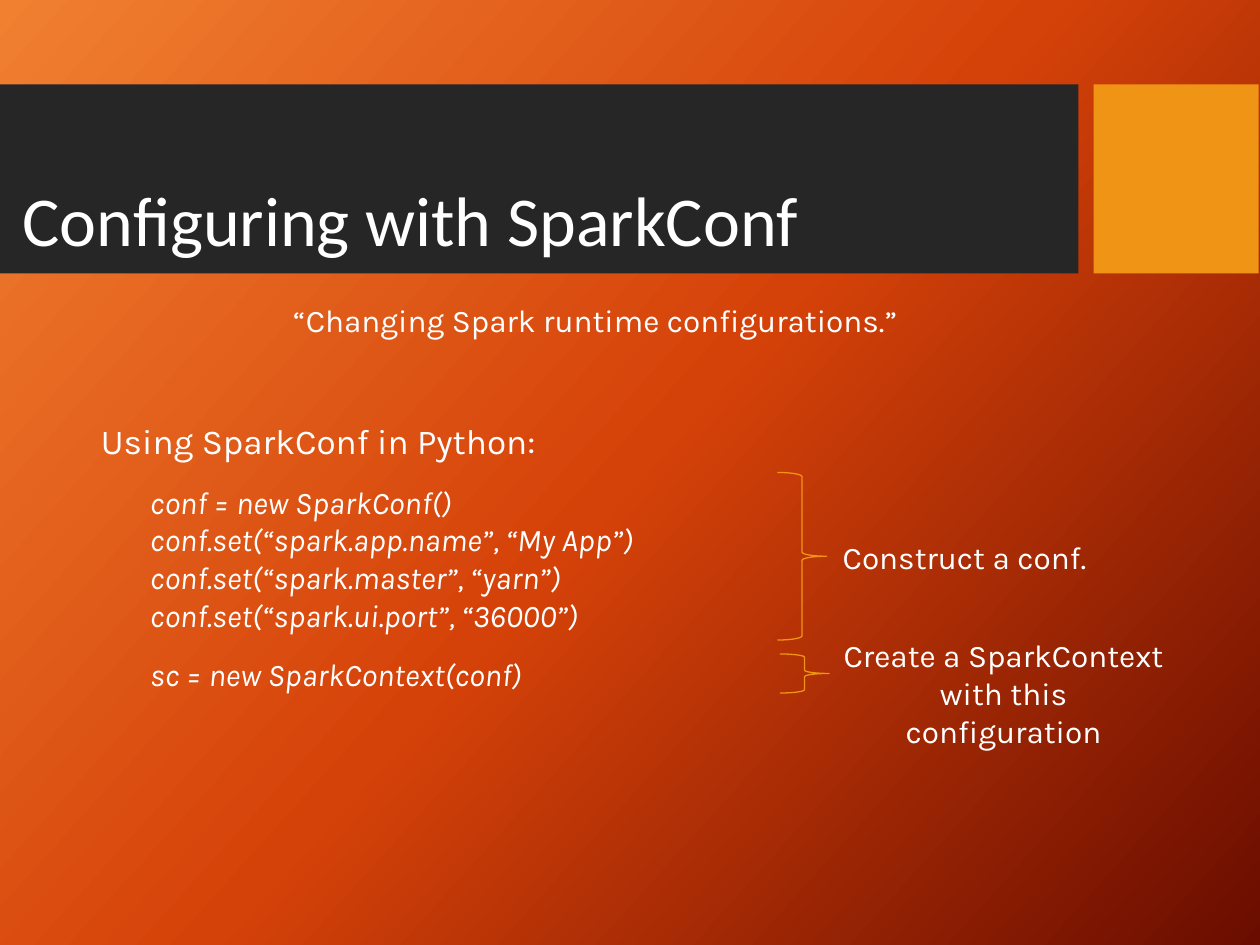
"""Build a slide on setting Spark options with SparkConf."""
import copy
import pptx
import pptx.util
import pptx.dml.color
import pptx.enum.shapes
import pptx.enum.text

Inches, Pt = pptx.util.Inches, pptx.util.Pt
RGB = pptx.dml.color.RGBColor.from_string
SHAPE = pptx.enum.shapes.MSO_SHAPE
ALIGN = pptx.enum.text.PP_ALIGN
ANCHOR = pptx.enum.text.MSO_ANCHOR
FIT = pptx.enum.text.MSO_AUTO_SIZE

THEME = {
    "head": "Calibri", "body": "Karla",
    "title": 40, "lead": 20, "text": 18,
    "white": "FFFFFF", "dark": "262626", "gold": "F09415",
    "back": [(0, "F18031"), (0.5, "D54209"), (1, "6A0D00")], "angle": 42,
}

TITLE = ("Configuring with SparkConf", (0.08, 1.45, 6.56, 0.66))
LEAD = "Using SparkConf in Python:"
CODE = [
    ("conf = new SparkConf()", 0),
    ("conf.set(“spark.app.name”, “My App”)", 0),
    ("conf.set(“spark.master”, “yarn”)", 0),
    ("conf.set(“spark.ui.port”, “36000”)", 12),
    ("sc = new SparkContext(conf)", 12),
]
BODY = (0.7, 3.28, 5.08, 2.29)
NOTES = [
    ("“Changing Spark runtime configurations.”", (2.03, 2.34, 5.39, 0.4)),
    ("Construct a conf.", (6.56, 4.22, 2.19, 0.4)),
    ("Create a SparkContext with this configuration", (6.56, 5, 2.81, 0.71)),
]
BANDS = [("dark", (0, 0.67, 8.56, 1.5)), ("gold", (8.68, 0.67, 1.31, 1.5))]
BRACES = [(6.17, 3.75, 0.39, 1.33), (6.19, 5.19, 0.39, 0.31)]


def place(shape, box):
    shape.left, shape.top, shape.width, shape.height = map(Inches, box)


def style(para, size, face="body", align=ALIGN.LEFT, after=0):
    para.font.name, para.font.size = THEME[face], Pt(THEME[size])
    para.font.color.rgb = RGB(THEME["white"])
    para.alignment = align
    para.space_before, para.space_after = Pt(0), Pt(after)


def paint(slide):
    fill = slide.background.fill
    fill.gradient()
    stops = slide.element.xpath(".//p:bgPr/a:gradFill/a:gsLst")[0]
    stops.append(copy.deepcopy(stops[0]))
    for stop, (pos, color) in zip(fill.gradient_stops, THEME["back"]):
        stop.position, stop.color.rgb = pos, RGB(color)
    fill.gradient_angle = 360 - THEME["angle"]


def add_shape(slide, kind, box):
    shape = slide.shapes.add_shape(kind, *map(Inches, box))
    shape.shadow.inherit = False
    return shape


def add_bands(slide):
    for color, box in BANDS:
        band = add_shape(slide, SHAPE.RECTANGLE, box)
        band.fill.solid()
        band.fill.fore_color.rgb = RGB(THEME[color])
        band.line.fill.background()
        slide.shapes.element.insert(2 + BANDS.index((color, box)), band.element)


def add_title(slide):
    text, box = TITLE
    title = slide.shapes.title
    place(title, box)
    frame = title.text_frame
    frame.text = text
    frame.auto_size, frame.vertical_anchor = FIT.NONE, ANCHOR.MIDDLE
    style(frame.paragraphs[0], "title", "head")
    frame.paragraphs[0].line_spacing = 0.9


def add_body(slide):
    body = slide.placeholders[1]
    place(body, BODY)
    frame = body.text_frame
    frame.auto_size, frame.vertical_anchor = FIT.NONE, ANCHOR.TOP
    frame.text = "\n".join([LEAD] + [line for line, _ in CODE])
    gaps = [12] + [gap for _, gap in CODE]
    for row, (para, gap) in enumerate(zip(frame.paragraphs, gaps)):
        style(para, "text" if row else "lead", after=gap)
        para.font.italic = row > 0
        props = para._p.get_or_add_pPr()
        props.set("marL", str(Inches(0.39 if row else 0)))
        props.set("indent", "0")
        bullet = props.makeelement(
            "{http://schemas.openxmlformats.org/drawingml/2006/main}buNone")
        props.find("{*}defRPr").addprevious(bullet)


def add_notes(slide):
    for text, box in NOTES:
        frame = slide.shapes.add_textbox(*map(Inches, box)).text_frame
        frame.word_wrap = True
        frame.text = text
        style(frame.paragraphs[0], "text", align=ALIGN.CENTER)


def add_braces(slide):
    for box in BRACES:
        brace = add_shape(slide, SHAPE.RIGHT_BRACE, box)
        brace.fill.background()
        brace.line.color.rgb = RGB(THEME["gold"])
        brace.line.width = Pt(0.75)


def main():
    deck = pptx.Presentation()
    deck.slide_width, deck.slide_height = Inches(10), Inches(7.5)
    slide = deck.slides.add_slide(deck.slide_layouts[1])
    paint(slide)
    add_bands(slide)
    add_title(slide)
    add_body(slide)
    add_notes(slide)
    add_braces(slide)
    deck.save("out.pptx")


if __name__ == "__main__":
    main()
